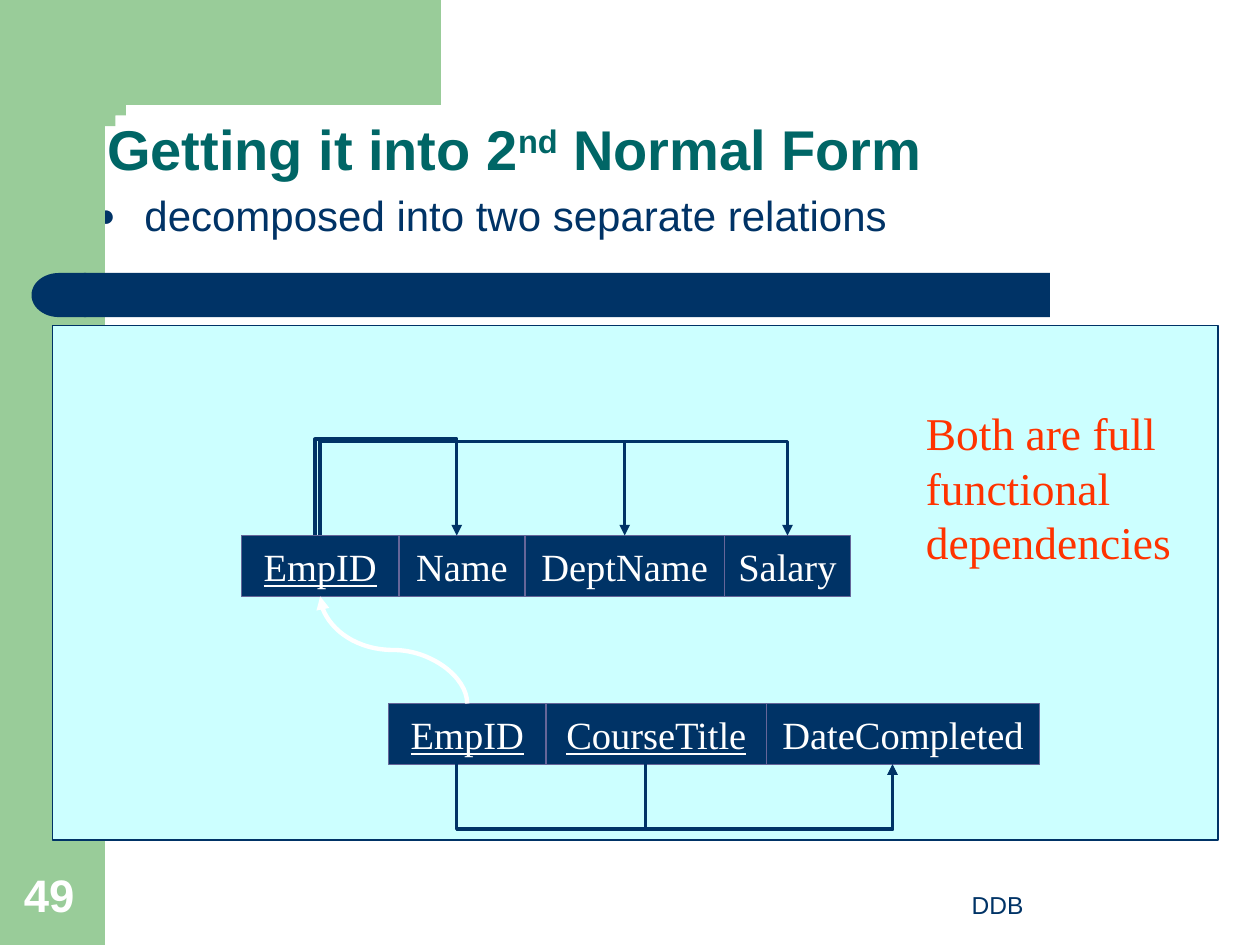
from dataclasses import dataclass
from math import cos, pi, sin

from lxml.etree import SubElement
from pptx import Presentation
from pptx.dml.color import RGBColor
from pptx.enum.shapes import MSO_CONNECTOR, MSO_SHAPE
from pptx.enum.text import MSO_ANCHOR, MSO_AUTO_SIZE, PP_ALIGN
from pptx.oxml.ns import qn
from pptx.util import Emu, Inches, Pt

GRID = Inches(1 / 12)  # the slide is 120 columns by 90 rows
HAIR = 1588  # depth in EMU of a U-shaped connector between level ends
CELL_ROWS = 5.8


@dataclass(frozen=True)
class Theme:
    green: str = "99CC99"
    navy: str = "003366"
    teal: str = "006666"
    aqua: str = "CCFFFF"
    violet: str = "666699"
    red: str = "FF3300"
    white: str = "FFFFFF"
    sans: str = "Arial"
    serif: str = "Times New Roman"
    title_size: float = 32
    note_size: float = 26
    body_size: float = 24
    cell_size: float = 22
    footer_size: float = 14


@dataclass(frozen=True)
class Area:
    column: float
    row: float
    columns: float
    rows: float

    def lengths(self) -> list[Emu]:
        return [grid(n) for n in (self.column, self.row, self.columns, self.rows)]


@dataclass(frozen=True)
class Field:
    name: str
    columns: float
    key: bool = False


@dataclass(frozen=True)
class Relation:
    column: float
    row: float
    fields: tuple[Field, ...]


@dataclass(frozen=True)
class Dependency:
    """A U-shaped arrow between two columns; a positive rise goes upward."""
    start: float
    end: float
    row: float
    rise: float


THEME = Theme()
RELATIONS = (
    Relation(23, 51, (Field("EmpID", 15, True), Field("Name", 12),
                      Field("DeptName", 19), Field("Salary", 12))),
    Relation(37, 67, (Field("EmpID", 15, True), Field("CourseTitle", 21, True),
                      Field("DateCompleted", 26))),
)
DEPENDENCIES = (
    Dependency(30, 43.5, 51, 10.1),
    Dependency(30.5, 59.5, 51, 9.85),
    Dependency(30.5, 75, 51, 9.85),
    Dependency(43.5, 85, 72.8, -6.8),
    Dependency(61.5, 85, 72.8, -6.8),
)


def grid(count: float) -> Emu:
    return Emu(round(count * GRID))


def color(code: str) -> RGBColor:
    return RGBColor.from_string(code)


def write(para, text: str, *, size: float, ink: str, font: str = THEME.sans,
          bold: bool = False, underline: bool = False, raised: bool = False) -> None:
    span = para.add_run()
    span.text = text
    span.font.size = Pt(size)
    span.font.name = font
    span.font.bold = bold
    span.font.underline = underline
    span.font.color.rgb = color(ink)
    if raised:
        span._r.get_or_add_rPr().set("baseline", "30000")


def paint(shape, fill: str, line: str | None = None) -> None:
    shape.shadow.inherit = False
    shape.fill.solid()
    shape.fill.fore_color.rgb = color(fill)
    if line:
        shape.line.color.rgb = color(line)
        shape.line.width = Pt(0.75)
    else:
        shape.line.fill.background()


def add_block(page, area: Area, fill: str, line: str | None = None,
              kind=MSO_SHAPE.RECTANGLE):
    block = page.shapes.add_shape(kind, *area.lengths())
    paint(block, fill, line)
    return block


def add_text(page, area: Area, text: str, *, anchor=MSO_ANCHOR.TOP,
             align=PP_ALIGN.LEFT, **style) -> None:
    frame = page.shapes.add_textbox(*area.lengths()).text_frame
    frame.word_wrap = True
    frame.vertical_anchor = anchor
    para = frame.paragraphs[0]
    para.alignment = align
    write(para, text, **style)


def place(holder, area: Area, anchor):
    """Move a placeholder and return its first paragraph."""
    holder.left, holder.top, holder.width, holder.height = area.lengths()
    frame = holder.text_frame
    frame.auto_size = MSO_AUTO_SIZE.NONE
    frame.vertical_anchor = anchor
    para = frame.paragraphs[0]
    para.alignment = PP_ALIGN.LEFT
    para.line_spacing = 0.9
    return para


def add_backdrop(page) -> None:
    add_block(page, Area(0, 0, 10, 90), THEME.green)
    radius, steps = 4, 16
    arc = [(14 - radius * sin(turn), 14 - radius * cos(turn))
           for turn in (pi / 2 * step / steps for step in range(steps + 1))]
    outline = [(42, 10), *arc, (10, 15.4), (6, 15.4), (6, 0)]
    builder = page.shapes.build_freeform(42, 0, scale=GRID)
    builder.add_line_segments(outline, close=True)
    paint(builder.convert_to_shape(), THEME.green)
    add_block(page, Area(8, 26, 92, 4.2), THEME.navy)
    cap = add_block(page, Area(3, 26, 5.2, 4.2), THEME.navy, kind=MSO_SHAPE.FLOWCHART_DELAY)
    cap._element.spPr.xfrm.set("flipH", "1")


def add_heading(page) -> None:
    para = place(page.shapes.title, Area(9, 3, 102, 15), MSO_ANCHOR.BOTTOM)
    for text, raised in (("Getting it into 2", False), ("nd", True), (" Normal Form", False)):
        write(para, text, size=THEME.title_size, ink=THEME.teal, bold=True, raised=raised)

    para = place(page.placeholders[1], Area(8, 18, 102, 7), MSO_ANCHOR.TOP)
    write(para, "decomposed into two separate relations", size=THEME.body_size, ink=THEME.navy)
    props = para._p.get_or_add_pPr()
    props.set("marL", str(Inches(0.38)))
    props.set("indent", str(-Inches(0.38)))
    SubElement(SubElement(props, qn("a:buClr")), qn("a:srgbClr"), val=THEME.navy)
    SubElement(props, qn("a:buSzPct"), val="75000")
    SubElement(props, qn("a:buChar"), char="●")


def add_relation(page, relation: Relation) -> None:
    column = relation.column
    for field in relation.fields:
        area = Area(column, relation.row, field.columns, CELL_ROWS)
        frame = add_block(page, area, THEME.navy, THEME.violet).text_frame
        frame.word_wrap = False
        frame.vertical_anchor = MSO_ANCHOR.MIDDLE
        para = frame.paragraphs[0]
        para.alignment = PP_ALIGN.CENTER
        write(para, field.name, size=THEME.cell_size, ink=THEME.white,
              font=THEME.serif, underline=field.key)
        column += field.columns


def add_arrow(page, kind, center: tuple[float, float], depth: int, span: int, *,
              turn: int, flip: str, bend: float, ink: str, weight: float) -> None:
    """Draw a turned connector; bend is the share of its depth where it turns."""
    left, top = grid(center[0]) - depth // 2, grid(center[1]) - span // 2
    arrow = page.shapes.add_connector(kind, left, top, left + depth, top + span)
    arrow.line.color.rgb = color(ink)
    arrow.line.width = Pt(weight)
    SubElement(arrow.line._get_or_add_ln(), qn("a:tailEnd"), type="triangle")
    props = arrow._element.spPr
    SubElement(props, qn("a:effectLst"))
    props.xfrm.set("rot", str(turn * 60000))
    props.xfrm.set(flip, "1")
    guides = props.find(qn("a:prstGeom")).get_or_add_avLst()
    SubElement(guides, qn("a:gd"), name="adj1", fmla=f"val {round(bend * 100000)}")


def add_dependency(page, link: Dependency) -> None:
    upward = link.rise > 0
    add_arrow(page, MSO_CONNECTOR.ELBOW, ((link.start + link.end) / 2, link.row),
              HAIR, grid(link.end - link.start), turn=90 if upward else 270,
              flip="flipV" if upward else "flipH", bend=-grid(link.rise) / HAIR,
              ink=THEME.navy, weight=2)


def main() -> None:
    deck = Presentation()
    deck.slide_width, deck.slide_height = grid(120), grid(90)
    page = deck.slides.add_slide(deck.slide_layouts[1])
    add_backdrop(page)
    add_text(page, Area(76, 82, 38, 6.2), "DDB", anchor=MSO_ANCHOR.BOTTOM,
             align=PP_ALIGN.CENTER, size=THEME.footer_size, ink=THEME.navy)
    add_text(page, Area(1.1, 82, 7.7, 6.4), "49", anchor=MSO_ANCHOR.BOTTOM,
             size=THEME.note_size, ink=THEME.white, bold=True)
    add_heading(page)
    add_block(page, Area(5, 31, 111, 49), THEME.aqua, THEME.navy)
    for relation in RELATIONS:
        add_relation(page, relation)
    add_arrow(page, MSO_CONNECTOR.CURVE, (37.5, 61.9), grid(10.2), grid(14),
              turn=90, flip="flipH", bend=0.5, ink=THEME.white, weight=2.5)
    for link in DEPENDENCIES:
        add_dependency(page, link)
    add_text(page, Area(87, 38, 29, 16.8), "Both are full functional dependencies",
             size=THEME.note_size, ink=THEME.red, font=THEME.serif)
    deck.save("out.pptx")


if __name__ == "__main__":
    main()
